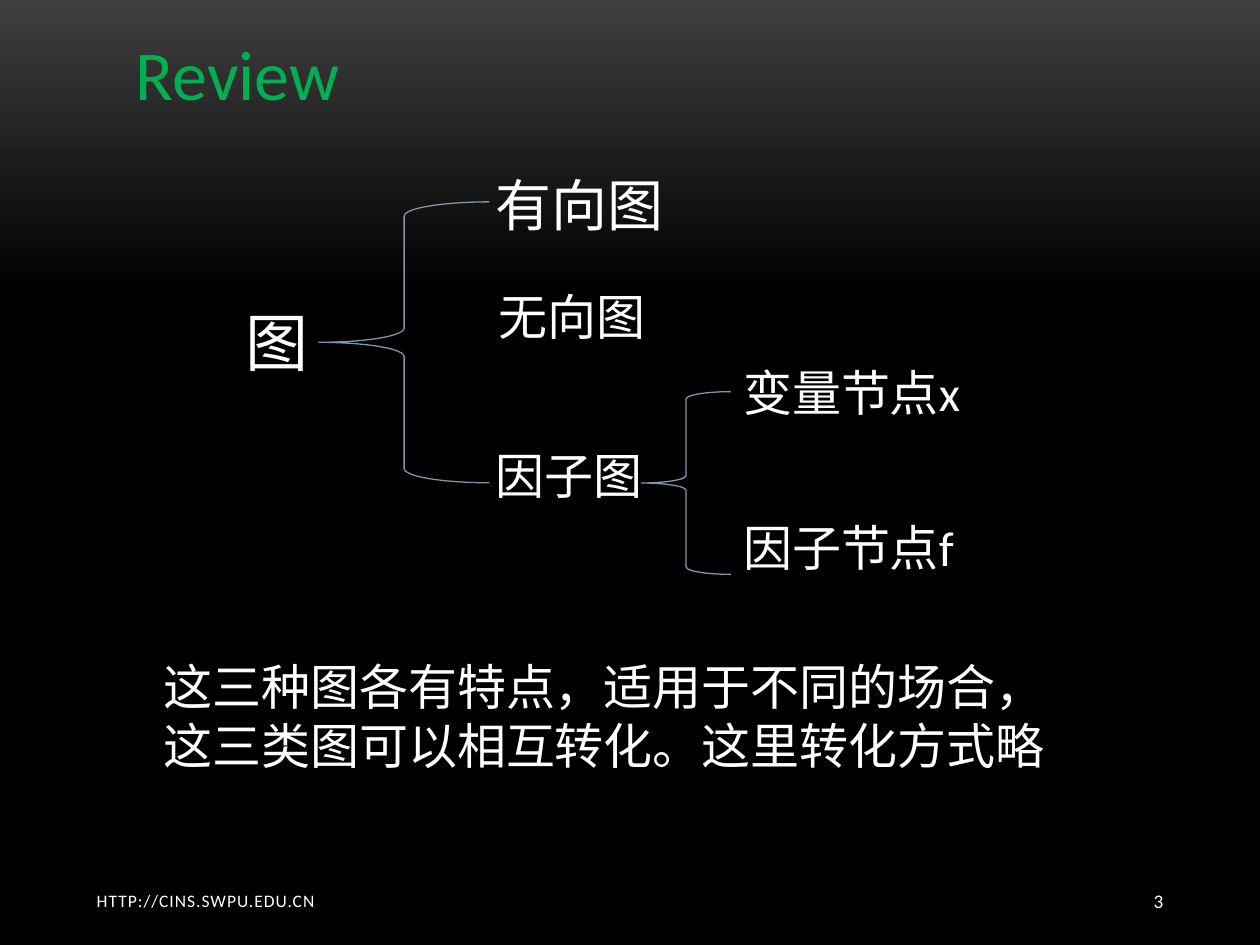
"""Build a review slide that sorts graphs into three kinds with braces."""
from pptx import Presentation
from pptx.dml.color import RGBColor
from pptx.enum.shapes import MSO_SHAPE
from pptx.enum.text import MSO_ANCHOR, PP_ALIGN
from pptx.util import Pt

WHITE = RGBColor(0xFF, 0xFF, 0xFF)
GREEN = RGBColor(0x00, 0xB0, 0x50)
STEEL = RGBColor(0x7E, 0x97, 0xAD)
CHARCOAL = RGBColor(0x3F, 0x3F, 0x3F)
BLACK = RGBColor(0x00, 0x00, 0x00)
FONT = "Calibri"

KINDS_LEFT = 276
NODES_LEFT = 417.6
FOOTER_TOP, FOOTER_HEIGHT = 500.4, 28.8

TITLE = ("Review", 70.6, 13.7, 215, 55.4, 40)
LABELS = [
    ("有向图", KINDS_LEFT, 93.6, 255, 46, 32),
    ("无向图", KINDS_LEFT + 2, 160, 300, 41, 28),
    ("因子图", KINDS_LEFT, 251.3, 181.5, 41, 28),
    ("这三种图各有特点，适用于不同的场合，这三类图可以相互转化。这里转化方式略",
     86.4, 371.5, 529, 75, 28),
    ("图", 133.2, 170, 204.5, 51, 36),
    ("变量节点x", NODES_LEFT, 203.8, 209.5, 41, 28),
    ("因子节点f", NODES_LEFT, 292.3, 170, 41, 28),
]
BRACES = [(182.2, 115.4, 97.5, 160.5), (366.5, 223.8, 51.1, 104.4)]
ADDRESS = ("HTTP://CINS.SWPU.EDU.CN", 48.2, FOOTER_TOP, 228.2, FOOTER_HEIGHT, 10)
PAGE_NUMBER = ("3", 594, FOOTER_TOP, 77.8, FOOTER_HEIGHT, 11)


def add_label(slide, label, color=WHITE, anchor=MSO_ANCHOR.TOP, align=PP_ALIGN.LEFT):
    wording, left, top, width, height, size = label
    frame = slide.shapes.add_textbox(Pt(left), Pt(top), Pt(width), Pt(height)).text_frame
    frame.word_wrap = True
    frame.vertical_anchor = anchor
    frame.text = wording
    paragraph = frame.paragraphs[0]
    paragraph.alignment = align
    font = paragraph.runs[0].font
    font.name, font.size = FONT, Pt(size)
    font.color.rgb = color
    return paragraph.runs[0]


def add_brace(slide, left, top, width, height):
    brace = slide.shapes.add_shape(
        MSO_SHAPE.LEFT_BRACE, Pt(left), Pt(top), Pt(width), Pt(height))
    brace.shadow.inherit = False
    brace.fill.background()
    brace.line.color.rgb = STEEL
    brace.line.width = Pt(0.75)


def paint_background(slide):
    fill = slide.background.fill
    fill.gradient()
    fill.gradient_angle = 270
    for stop, color, position in zip(fill.gradient_stops, (CHARCOAL, BLACK), (0, 0.31)):
        stop.color.rgb = color
        stop.position = position


def main():
    deck = Presentation()
    deck.slide_width, deck.slide_height = Pt(720), Pt(540)
    slide = deck.slides.add_slide(deck.slide_layouts[6])
    paint_background(slide)
    address = add_label(slide, ADDRESS, anchor=MSO_ANCHOR.MIDDLE)
    address.font._element.set("spc", "60")
    add_label(slide, PAGE_NUMBER, anchor=MSO_ANCHOR.MIDDLE, align=PP_ALIGN.RIGHT)
    for label in LABELS:
        add_label(slide, label)
    for brace in BRACES:
        add_brace(slide, *brace)
    add_label(slide, TITLE, GREEN)
    deck.save("out.pptx")


if __name__ == "__main__":
    main()
